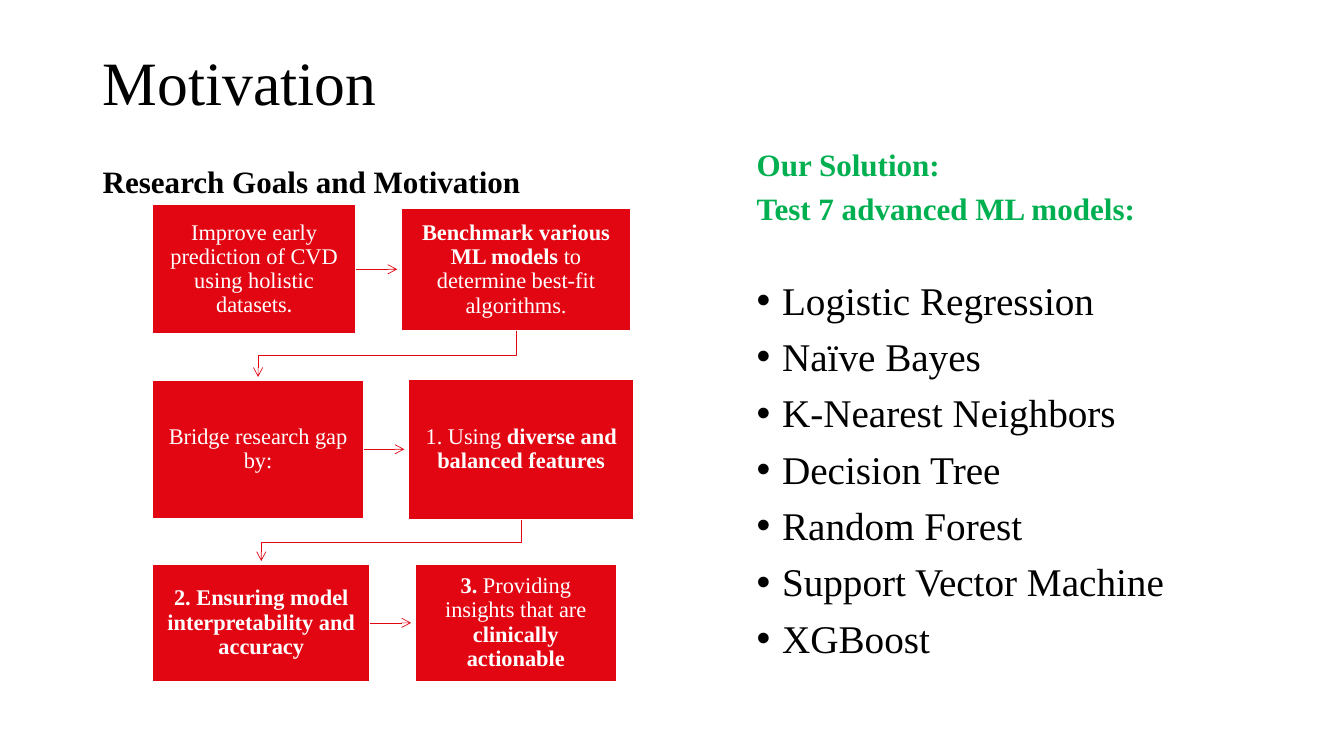
from dataclasses import dataclass

import pptx
import pptx.dml.color
import pptx.enum.shapes
import pptx.enum.text
import pptx.oxml.ns
import pptx.util
from lxml import etree
from pptx.util import Cm

ALIGN = pptx.enum.text.PP_ALIGN
ANCHOR = pptx.enum.text.MSO_ANCHOR


@dataclass(frozen=True)
class Theme:
    serif: str = "Times New Roman"
    sans: str = "Lato"
    black: str = "000000"
    white: str = "FFFFFF"
    red: str = "E20613"
    green: str = "00B050"
    title: float = 44
    heading: float = 22.2
    models: float = 28
    step: float = 16
    small_step: float = 15


THEME = Theme()

# Each row: left and right step as (left, top, width, height) in cm with runs
# (text, bold, size, font)
S, F = THEME.step, THEME.serif
FLOW = [
    (((3.84, 5.16, 5.13, 3.25),
      [("Improve early prediction of CVD using holistic datasets", False, S, F),
       (".", False, S, THEME.sans)]),
     ((10.11, 5.26, 5.79, 3.07),
      [("Benchmark various ML models", True, S, F),
       (" to determine best-fit algorithms", False, S, F),
       (".", False, THEME.small_step, F)])),
    (((3.84, 9.58, 5.33, 3.48),
      [("Bridge research gap by:", False, S, F)]),
     ((10.29, 9.55, 5.69, 3.56),
      [("1. Using ", False, S, F),
       ("diverse and balanced features", True, S, F)])),
    (((3.84, 14.22, 5.49, 2.95),
      [("2. Ensuring model interpretability and accuracy", True, S, F)]),
     ((10.46, 14.22, 5.08, 2.95),
      [("3.", True, S, F),
       (" Providing insights that are ", False, S, F),
       ("clinically actionable", True, S, F)])),
]

MODELS = ["Logistic Regression", "Naïve Bayes", "K-Nearest Neighbors",
          "Decision Tree", "Random Forest", "Support Vector Machine", "XGBoost"]


def rgb(color):
    return pptx.dml.color.RGBColor.from_string(color)


def add_xml(parent, tag, **attributes):
    return etree.SubElement(parent, pptx.oxml.ns.qn(tag), attributes)


def add_run(paragraph, text, size, color, bold=False, font=THEME.serif):
    run = paragraph.add_run()
    run.text = text
    run.font.name = font
    run.font.size = pptx.util.Pt(size)
    run.font.bold = bold
    run.font.color.rgb = rgb(color)


def add_title(slide, text):
    title = slide.shapes.title
    title.left, title.top = Cm(2.34), Cm(1.02)
    title.width, title.height = Cm(14), Cm(2.29)
    frame = title.text_frame
    frame.vertical_anchor = ANCHOR.MIDDLE
    frame.auto_size = pptx.enum.text.MSO_AUTO_SIZE.NONE
    paragraph = frame.paragraphs[0]
    paragraph.alignment = ALIGN.LEFT
    paragraph.line_spacing = 0.9
    add_run(paragraph, text, THEME.title, THEME.black)


def add_text(slide, place, lines, size, color, bold=False, spacing=0.8,
             anchor=ANCHOR.BOTTOM, bulleted=False):
    frame = slide.shapes.add_textbox(*map(Cm, place)).text_frame
    frame.word_wrap = True
    frame.vertical_anchor = anchor
    for number, line in enumerate(lines):
        paragraph = frame.add_paragraph() if number else frame.paragraphs[0]
        if bulleted:
            properties = paragraph._p.get_or_add_pPr()
            properties.set("marL", str(Cm(0.64)))
            properties.set("indent", str(Cm(-0.64)))
            add_xml(properties, "a:buFont", typeface="Arial")
            add_xml(properties, "a:buChar", char="•")
        paragraph.line_spacing = spacing
        if number:
            paragraph.space_before = pptx.util.Pt(10)
        add_run(paragraph, line, size, color, bold)


def add_step(slide, place, runs):
    step = slide.shapes.add_shape(
        pptx.enum.shapes.MSO_SHAPE.RECTANGLE, *map(Cm, place))
    step.shadow.inherit = False
    step.fill.solid()
    step.fill.fore_color.rgb = rgb(THEME.red)
    step.line.color.rgb = rgb(THEME.white)
    step.line.width = pptx.util.Pt(1)
    frame = step.text_frame
    frame.word_wrap = True
    frame.vertical_anchor = ANCHOR.MIDDLE
    frame.margin_left = frame.margin_right = Cm(0.24)
    frame.margin_top = frame.margin_bottom = Cm(0.25)
    paragraph = frame.paragraphs[0]
    paragraph.alignment = ALIGN.CENTER
    paragraph.line_spacing = 0.9
    for text, bold, size, font in runs:
        add_run(paragraph, text, size, THEME.white, bold, font)
    return step


def style_arrow(arrow):
    arrow.line.color.rgb = rgb(THEME.red)
    arrow.line.width = pptx.util.Pt(0.5)
    properties = arrow._element.spPr
    add_xml(properties.find(pptx.oxml.ns.qn("a:ln")), "a:tailEnd", type="arrow")


def add_arrow_across(slide, start, end):
    middle = start.top + start.height // 2
    arrow = slide.shapes.add_connector(
        pptx.enum.shapes.MSO_CONNECTOR.STRAIGHT,
        start.left + start.width, middle, end.left - Cm(0.1), middle)
    style_arrow(arrow)
    add_xml(arrow._element.spPr, "a:effectLst")


def add_arrow_down(slide, start, end):
    start_x, end_x = (step.left + step.width // 2 for step in (start, end))
    bottom = start.top + start.height
    bend = (bottom + end.top) // 2
    outline = slide.shapes.build_freeform(start_x, bottom)
    outline.add_line_segments(
        [(start_x, bend), (end_x, bend), (end_x, end.top - Cm(0.08))], close=False)
    arrow = outline.convert_to_shape()
    arrow.shadow.inherit = False
    arrow.fill.background()
    style_arrow(arrow)


def add_flow(slide):
    previous = None
    for left_step, right_step in FLOW:
        left = add_step(slide, *left_step)
        right = add_step(slide, *right_step)
        add_arrow_across(slide, left, right)
        if previous is not None:
            add_arrow_down(slide, previous, left)
        previous = right


def main():
    deck = pptx.Presentation()
    deck.slide_width, deck.slide_height = Cm(33.87), Cm(19.05)
    slide = deck.slides.add_slide(deck.slide_layouts.get_by_name("Title Only"))
    add_title(slide, "Motivation")

    # Goals and their flow on the left
    add_text(slide, (2.34, 3.3, 14.33, 1.85), ["Research Goals and Motivation"],
             THEME.heading, THEME.black, bold=True)
    add_flow(slide)

    # Solution and model list on the right
    add_text(slide, (18.82, 3.71, 12.73, 2.13),
             ["Our Solution:", "Test 7 advanced ML models:"],
             THEME.heading, THEME.green, bold=True)
    add_text(slide, (18.82, 6.96, 12.73, 10.24), MODELS, THEME.models, THEME.black,
             spacing=0.9, anchor=ANCHOR.TOP, bulleted=True)
    deck.save("out.pptx")


if __name__ == "__main__":
    main()
